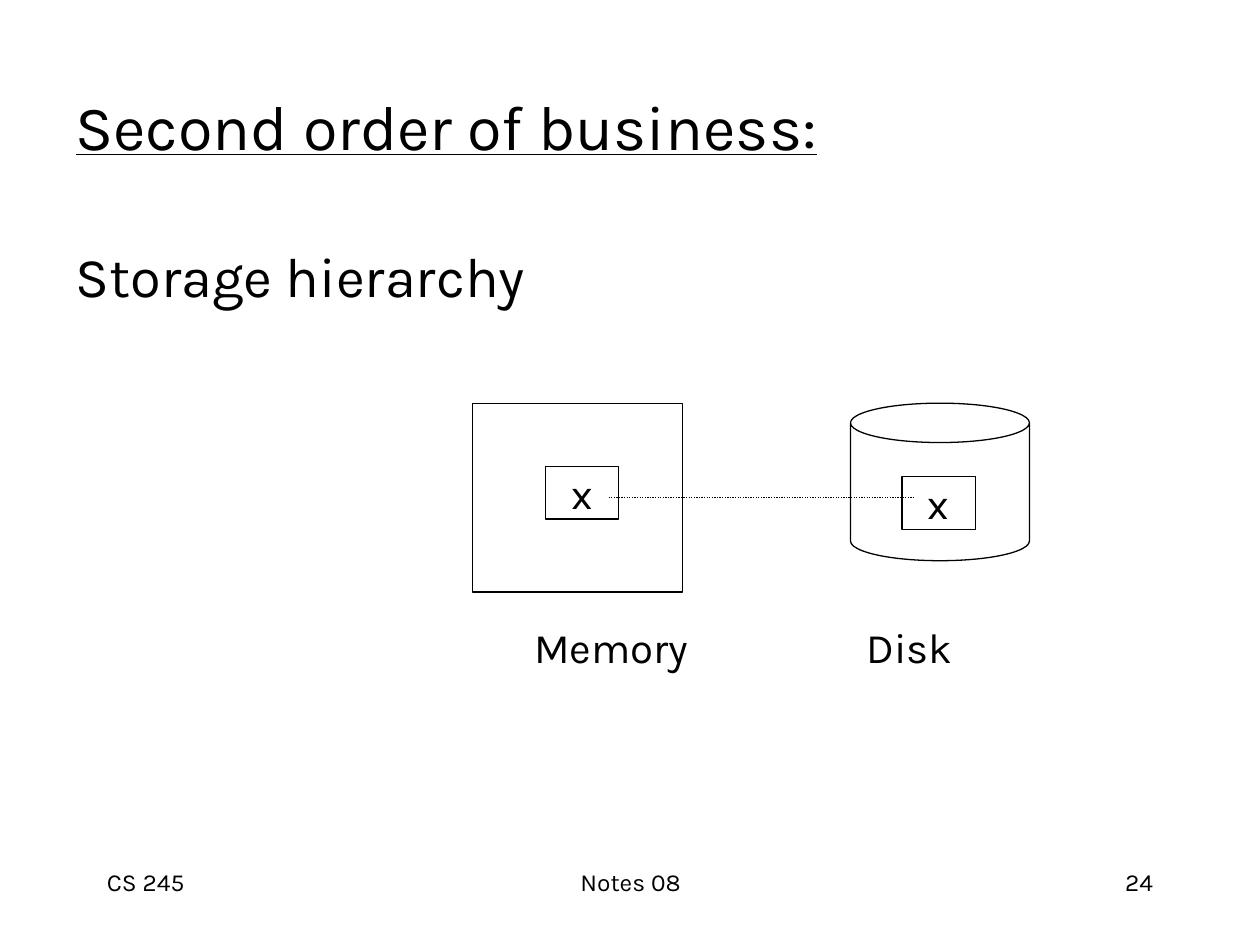
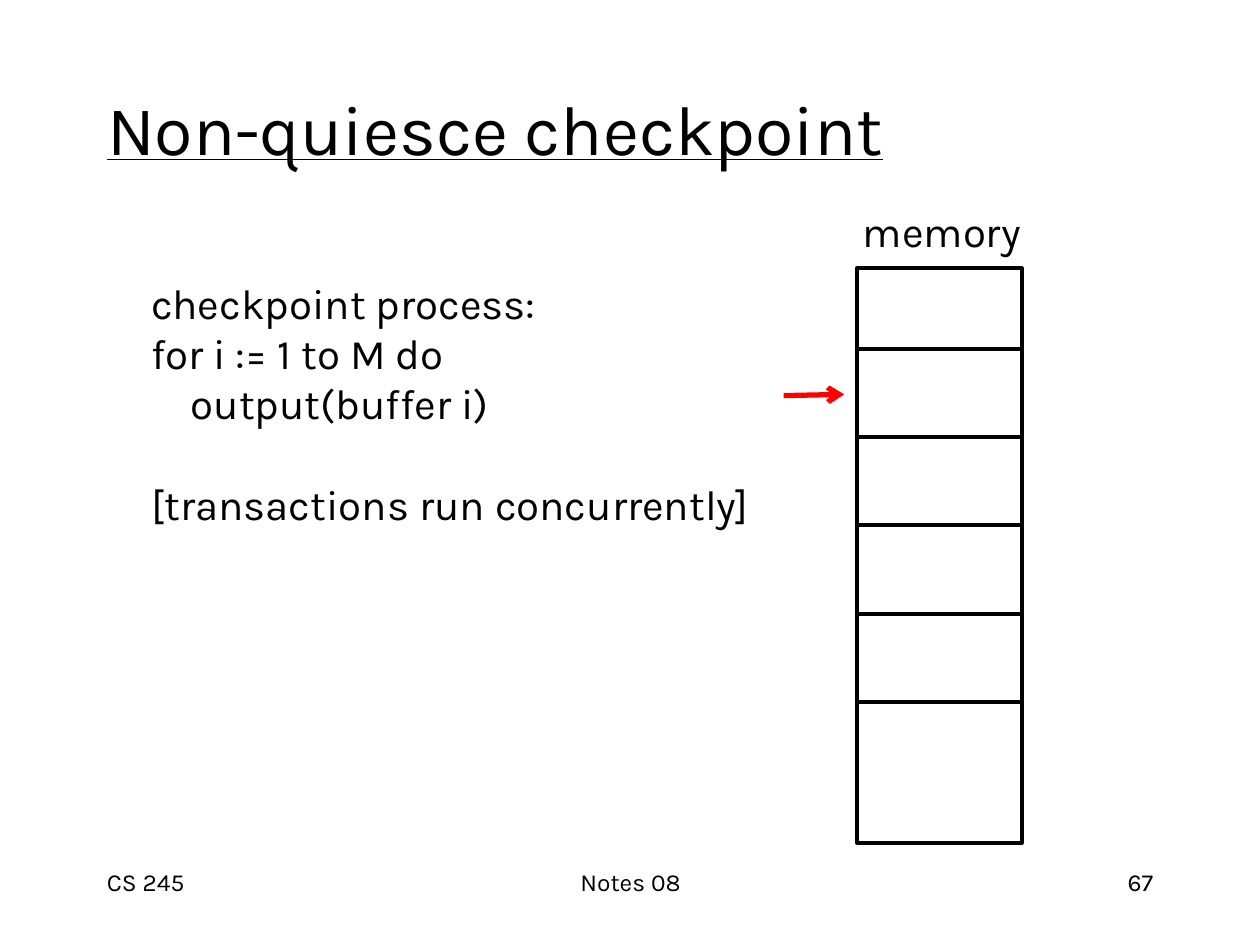
import pptx
import pptx.util
import pptx.dml.color
import pptx.enum.dml
import pptx.enum.shapes
import pptx.enum.text
import pptx.oxml.ns
from dataclasses import dataclass
from lxml import etree

Inches, Pt = pptx.util.Inches, pptx.util.Pt
RGB = pptx.dml.color.RGBColor
SHAPES = pptx.enum.shapes.MSO_SHAPE
ALIGN = pptx.enum.text.PP_ALIGN
ANCHOR = pptx.enum.text.MSO_ANCHOR


@dataclass(frozen=True)
class Theme:
    font: str = "Karla"
    ink: RGB = RGB(0, 0, 0)
    paper: RGB = RGB(255, 255, 255)
    accent: RGB = RGB(255, 0, 0)
    body_size: int = 32
    label_size: int = 24
    footer_size: int = 14
    thin: float = 0.75
    thick: float = 2.25
    arrow: float = 3


THEME = Theme()


# Shared helpers
def apply(target, values):
    for name, value in values.items():
        setattr(target, name, value)


def place(shape, box):
    names = ("left", "top", "width", "height")
    apply(shape, dict(zip(names, map(Inches, box))))


def add_xml(parent, tag, **attributes):
    return etree.SubElement(parent, pptx.oxml.ns.qn(tag), attributes)


def write(shape, lines, size, align=ALIGN.LEFT, anchor=ANCHOR.TOP,
          wrap=True, underline=None):
    frame = shape.text_frame
    apply(frame, {"word_wrap": wrap, "vertical_anchor": anchor,
                  "auto_size": pptx.enum.text.MSO_AUTO_SIZE.NONE})
    frame.text = "\n".join(lines)
    for paragraph in frame.paragraphs:
        apply(paragraph, {"alignment": align, "space_before": Pt(0)})
        for run in paragraph.runs:
            apply(run.font, {"name": THEME.font, "size": Pt(size),
                             "underline": underline})
            run.font.color.rgb = THEME.ink
    return frame


def add_text(slide, box, lines, size=THEME.label_size, **options):
    return write(slide.shapes.add_textbox(*map(Inches, box)), lines, size, **options)


def add_outline(slide, kind, box, weight):
    shape = slide.shapes.add_shape(kind, *map(Inches, box))
    shape.shadow.inherit = False
    shape.fill.solid()
    shape.fill.fore_color.rgb = THEME.paper
    shape.line.color.rgb = THEME.ink
    shape.line.width = Pt(weight)
    return shape


def add_line(slide, start, end, weight, color=THEME.ink):
    line = slide.shapes.add_connector(
        pptx.enum.shapes.MSO_CONNECTOR.STRAIGHT, *map(Inches, (*start, *end)))
    line.line.color.rgb = color
    line.line.width = Pt(weight)
    add_xml(line._element.spPr, "a:effectLst")
    return line


# Slide frame: underlined title and three-part footer
def add_slide(presentation, layout_index, title, title_box, title_size, number):
    slide = presentation.slides.add_slide(presentation.slide_layouts[layout_index])
    place(slide.shapes.title, title_box)
    write(slide.shapes.title, [title], title_size, anchor=ANCHOR.MIDDLE, underline=True)
    footers = (("CS 245", 0.75, 2.08, ALIGN.LEFT),
               ("Notes 08", 3.42, 3.17, ALIGN.CENTER),
               (str(number), 7.17, 2.08, ALIGN.RIGHT))
    for text, left, width, align in footers:
        add_text(slide, (left, 6.83, width, 0.5), [text], THEME.footer_size, align=align)
    return slide


# Memory block and disk, each holding a copy of x
def draw_hierarchy(slide, left, top):
    add_outline(slide, SHAPES.RECTANGLE, (left, top, 1.67, 1.5), THEME.thin)
    disk = add_outline(slide, SHAPES.CAN, (left + 3, top, 1.42, 1.25), THEME.thin)
    disk.adjustments[0] = 0.25

    labels = add_text(slide, (left + 0.39, top + 1.68, 3.74, 0.5), ["Memory\tDisk"],
                      anchor=ANCHOR.MIDDLE)
    tabs = add_xml(labels.paragraphs[0]._p.get_or_add_pPr(), "a:tabLst")
    add_xml(tabs, "a:tab", pos=str(Inches(2.64)), algn="l")

    for offset_x, offset_y in ((0.58, 0.5), (3.41, 0.58)):
        item = add_outline(slide, SHAPES.RECTANGLE,
                           (left + offset_x, top + offset_y, 0.58, 0.42), THEME.thin)
        write(item, ["x"], THEME.label_size, align=ALIGN.CENTER,
              anchor=ANCHOR.MIDDLE, wrap=False)
    link = add_line(slide, (left + 1.08, top + 0.75), (left + 3.5, top + 0.75), THEME.thin)
    link.line.dash_style = pptx.enum.dml.MSO_LINE.ROUND_DOT


# Column of memory buffers with a pointer to the second one
def draw_buffers(slide, left, top, width, height):
    add_outline(slide, SHAPES.RECTANGLE, (left, top, width, height), THEME.thick)
    for index in range(5):
        level = top + 0.64 + index * 0.7
        add_line(slide, (left, level), (left + width, level), THEME.thick)
    pointer = add_line(slide, (left - 0.58, top + 1.01), (left - 0.1, top + 1),
                       THEME.arrow, THEME.accent)
    add_xml(pointer.line._get_or_add_ln(), "a:tailEnd", type="arrow")
    add_text(slide, (left - 0.05, top - 0.55, 1.52, 0.5), ["memory"], wrap=False)


def build_storage_slide(presentation):
    slide = add_slide(presentation, 1, "Second order of business:",
                      (0.5, 0.37, 8.5, 1.25), 36, 24)
    body = slide.placeholders[1]
    place(body, (0.5, 1.87, 8.5, 4.5))
    frame = write(body, ["Storage hierarchy"], THEME.body_size)
    properties = frame.paragraphs[0]._p.get_or_add_pPr()
    properties.set("marL", "0")
    properties.set("indent", "0")
    add_xml(properties, "a:buNone")
    draw_hierarchy(slide, 3.75, 3.2)


def build_checkpoint_slide(presentation):
    slide = add_slide(presentation, 5, "Non-quiesce checkpoint",
                      (0.75, 0.67, 8.5, 0.68), 40, 67)
    draw_buffers(slide, 6.8, 2.13, 1.31, 4.56)
    code = add_text(slide, (1.1, 2.15, 5.05, 2.1),
                    ["checkpoint process:", "for i := 1 to M do",
                     "    output(buffer i)", "[transactions run concurrently]"], wrap=False)
    code.paragraphs[-1].space_before = Pt(28.8)


def main():
    presentation = pptx.Presentation()
    apply(presentation, {"slide_width": Inches(10), "slide_height": Inches(7.5)})
    build_storage_slide(presentation)
    build_checkpoint_slide(presentation)
    presentation.save("out.pptx")


if __name__ == "__main__":
    main()
